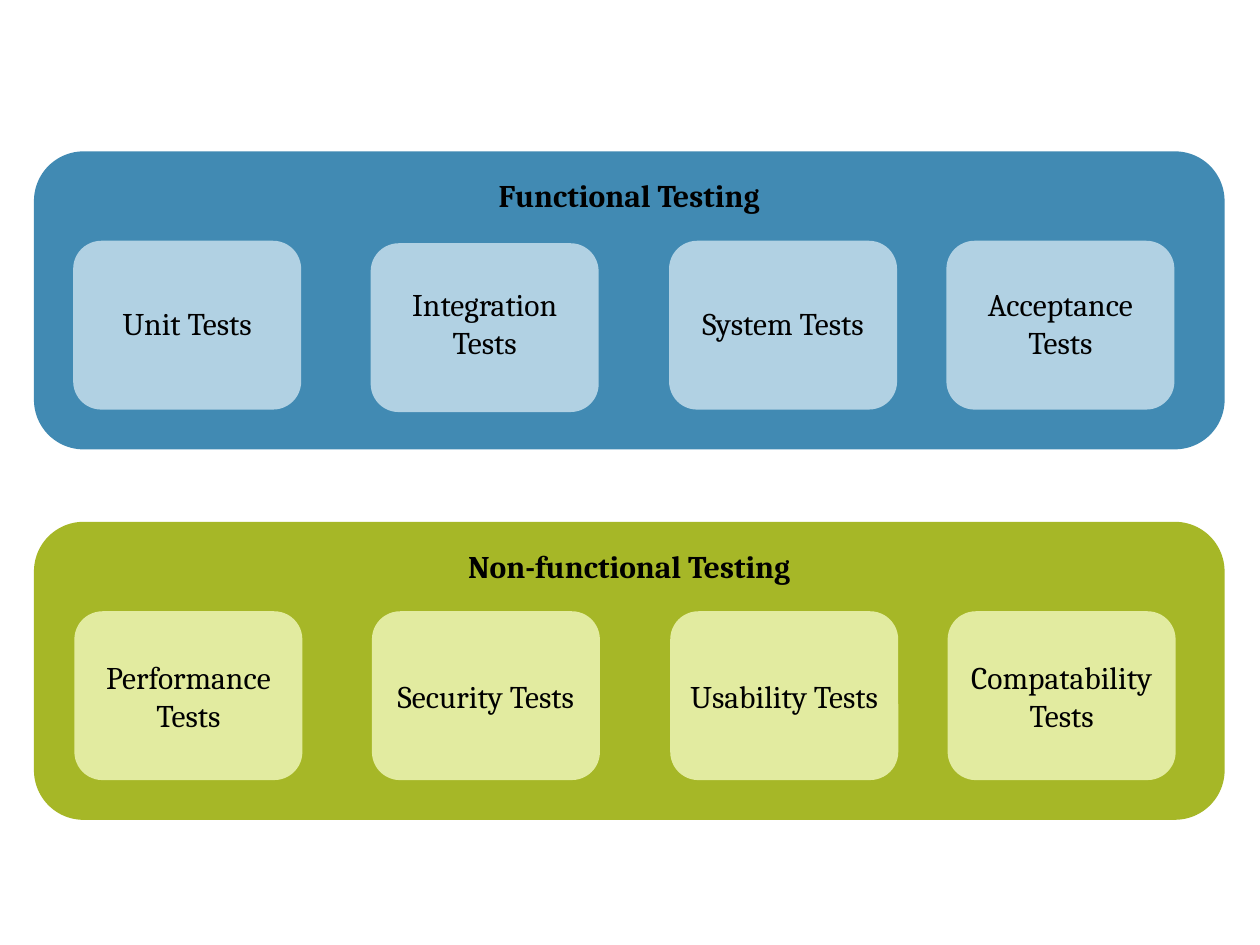
from dataclasses import dataclass

from pptx import Presentation
from pptx.dml.color import RGBColor as Color
from pptx.enum.shapes import MSO_SHAPE as Shape
from pptx.enum.text import MSO_ANCHOR as Anchor, MSO_AUTO_SIZE as AutoSize, PP_ALIGN as Align
from pptx.util import Pt


@dataclass(frozen=True)
class Theme:
    font: str = "Cambria"
    size: int = 18
    text: str = "000000"
    blue: str = "418AB3"
    light_blue: str = "B1D1E3"
    green: str = "A6B727"
    light_green: str = "E2EBA0"


# Layout in points
PANEL_LEFT, PANEL_WIDTH, PANEL_HEIGHT = 19.4, 680.4, 170.3
CARD_WIDTH, CARD_HEIGHT, CARD_DROP = 130.3, 96.5, 51.1
TITLE_DROP = 10.5
LINE_HEIGHTS = {1: 29, 2: 51}  # text box height by number of lines
CARD_OFFSETS = (0, 170, 340.5, 499)


def write_text(frame, text, *, theme, bold=False):
    """Fill a text frame with one centred paragraph."""
    frame.word_wrap = True
    frame.auto_size = AutoSize.SHAPE_TO_FIT_TEXT
    frame.vertical_anchor = Anchor.MIDDLE
    paragraph = frame.paragraphs[0]
    paragraph.alignment = Align.CENTER
    run = paragraph.add_run()
    run.text = text
    run.font.name = theme.font
    run.font.size = Pt(theme.size)
    run.font.bold = bold
    run.font.color.rgb = Color.from_string(theme.text)


class SlideBuilder:
    def __init__(self, slide, theme):
        self.slide = slide
        self.theme = theme

    def rounded_box(self, group, left, top, width, height, fill):
        shape = group.shapes.add_shape(
            Shape.ROUNDED_RECTANGLE, Pt(left), Pt(top), Pt(width), Pt(height))
        shape.shadow.inherit = False
        shape.fill.solid()
        shape.fill.fore_color.rgb = Color.from_string(fill)
        shape.line.fill.background()

    def label(self, group, text, left, top, width, height, bold=False):
        box = group.shapes.add_textbox(Pt(left), Pt(top), Pt(width), Pt(height))
        write_text(box.text_frame, text, theme=self.theme, bold=bold)

    def panel(self, title, tests, *, top, card_left, label_middle, title_width,
              fill, card_fill, card_shifts=(0, 0, 0, 0)):
        group = self.slide.shapes.add_group_shape()
        self.rounded_box(group, PANEL_LEFT, top, PANEL_WIDTH, PANEL_HEIGHT, fill)

        # Cards
        lefts = [card_left + offset for offset in CARD_OFFSETS]
        for left, shift in zip(lefts, card_shifts):
            self.rounded_box(group, left, top + CARD_DROP + shift,
                             CARD_WIDTH, CARD_HEIGHT, card_fill)

        # Heading and card labels
        title_left = PANEL_LEFT + (PANEL_WIDTH - title_width) / 2
        self.label(group, title, title_left, top + TITLE_DROP,
                   title_width, LINE_HEIGHTS[1], bold=True)
        for left, (text, lines) in zip(lefts, tests):
            height = LINE_HEIGHTS[lines]
            self.label(group, text, left, label_middle - height / 2, CARD_WIDTH, height)


def main():
    presentation = Presentation()
    presentation.slide_width, presentation.slide_height = Pt(720), Pt(540)
    theme = Theme()
    builder = SlideBuilder(
        presentation.slides.add_slide(presentation.slide_layouts[6]), theme)

    # Functional tests
    builder.panel(
        "Functional Testing",
        [("Unit Tests", 1), ("Integration Tests", 2),
         ("System Tests", 1), ("Acceptance Tests", 2)],
        top=86.5, card_left=41.8, label_middle=184.5, title_width=211,
        fill=theme.blue, card_fill=theme.light_blue, card_shifts=(0, 1.4, 0, 0))

    # Non-functional tests
    builder.panel(
        "Non-functional Testing",
        [("Performance Tests", 2), ("Security Tests", 1),
         ("Usability Tests", 2), ("Compatability Tests", 2)],
        top=298.2, card_left=42.5, label_middle=397.7, title_width=267.8,
        fill=theme.green, card_fill=theme.light_green)

    presentation.save("out.pptx")


if __name__ == "__main__":
    main()
